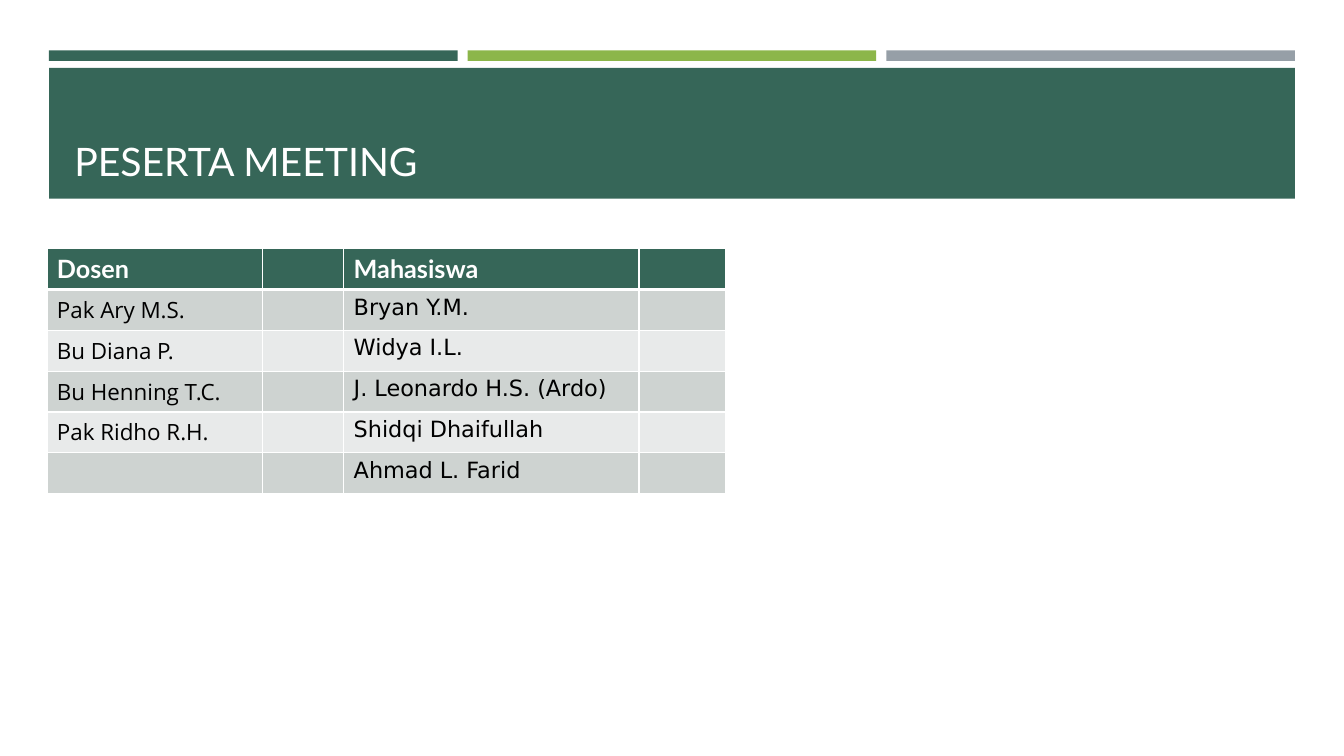
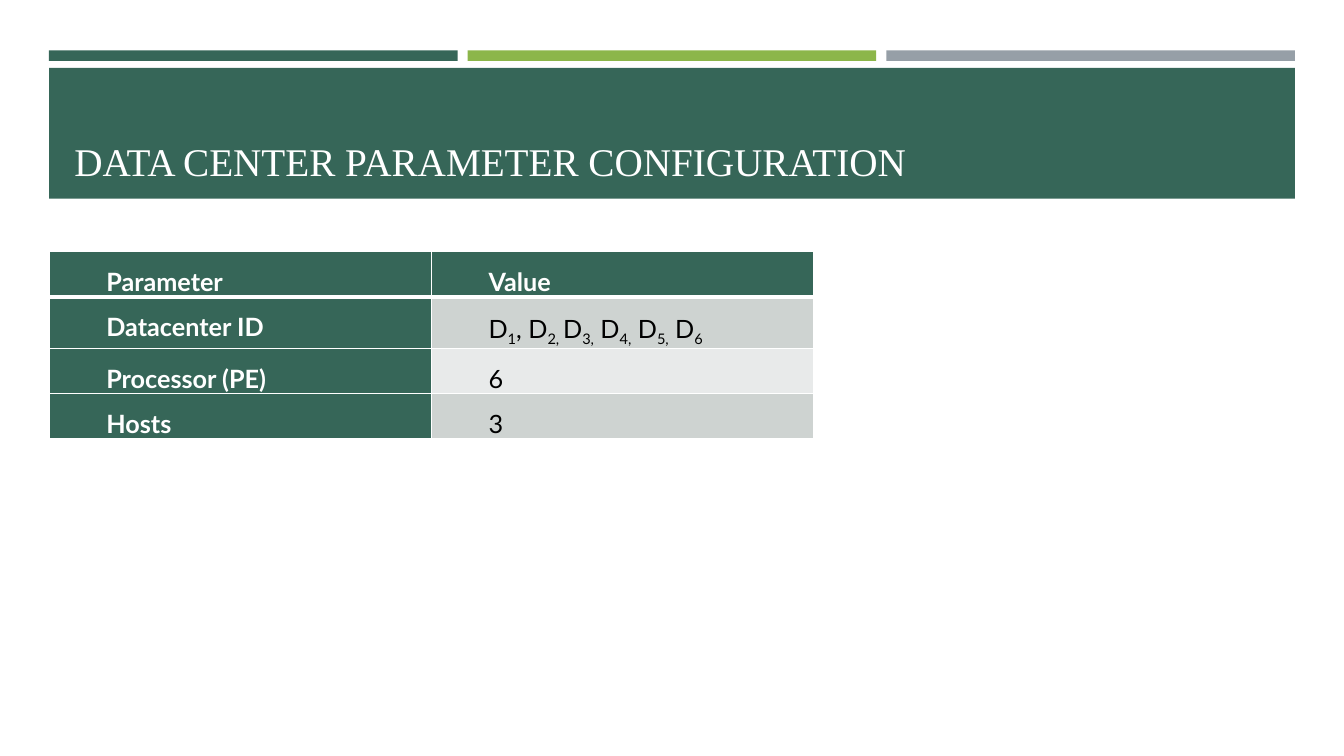
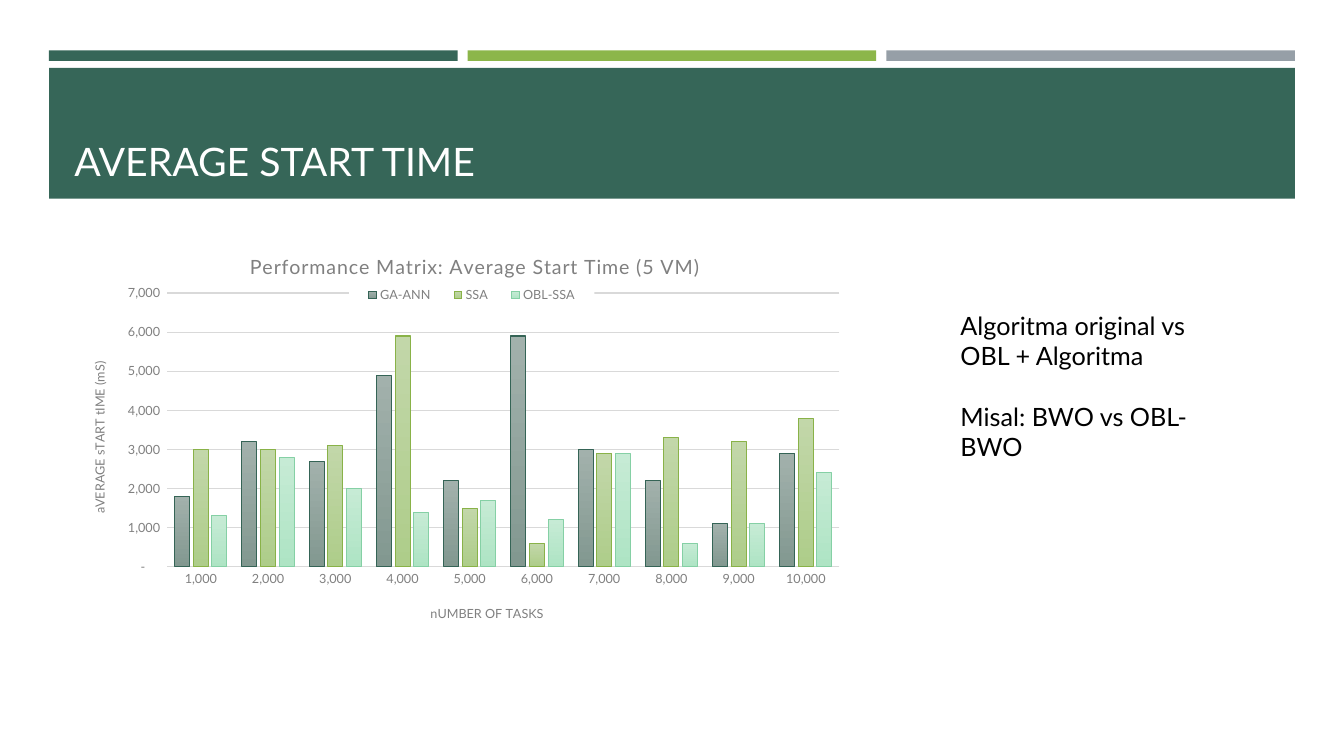
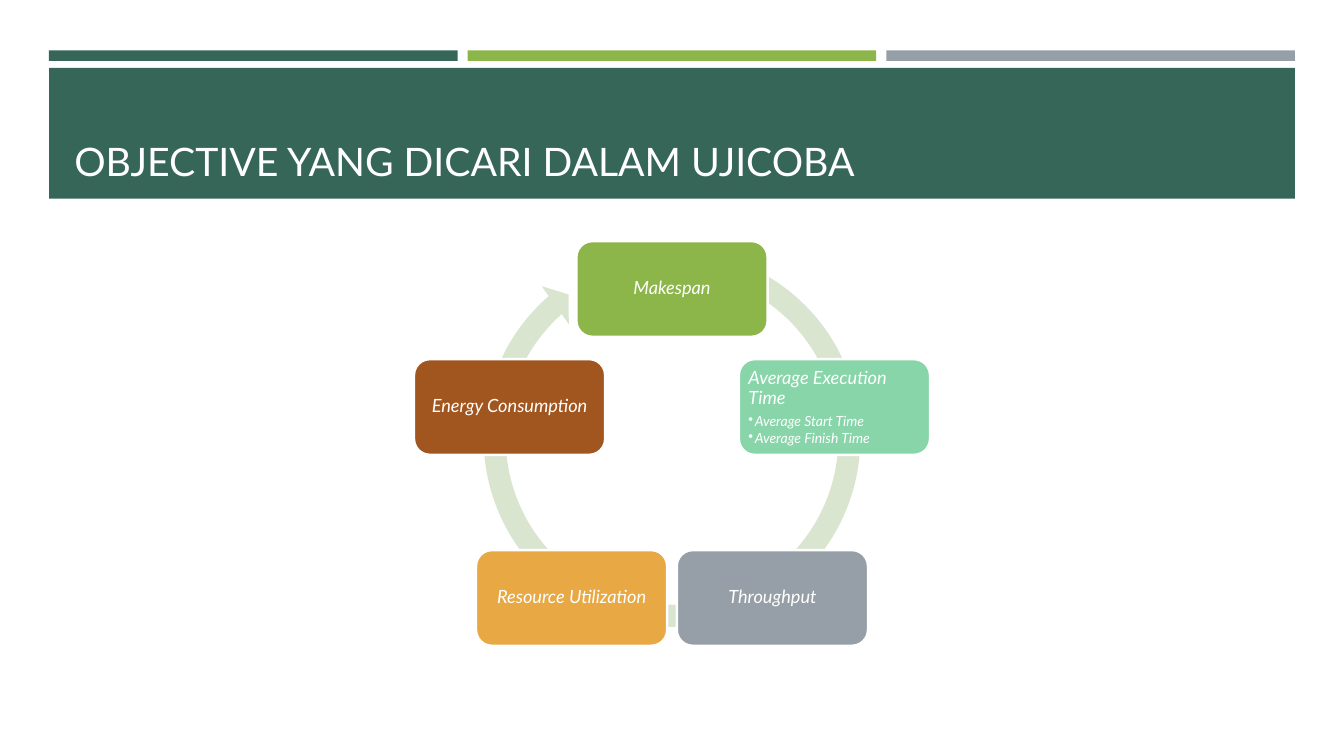
from itertools import product
from math import cos, radians, sin

from lxml.etree import SubElement
from pptx import Presentation
from pptx.chart.data import CategoryChartData
from pptx.dml.color import RGBColor
from pptx.enum.chart import XL_CHART_TYPE, XL_LEGEND_POSITION, XL_TICK_MARK
from pptx.enum.shapes import MSO_SHAPE
from pptx.enum.text import MSO_ANCHOR, PP_ALIGN
from pptx.oxml import parse_xml
from pptx.oxml.ns import nsdecls, qn
from pptx.util import Pt

GREEN, LIME, GRAY = "366658", "8CB64A", "969FA7"
MINT, GOLD, RUST, RING = "88D5A9", "E8A844", "A1561F", "DAE5D0"
WHITE, BLACK, DIM, GRID = "FFFFFF", "000000", "808080", "D9D9D9"
BANDS = ("E8EAEA", "CED3D1")
FONT = "Lato"
LEFT, WIDE = 35, 890


def color(text):
    """Turn a hex string into a colour."""
    return RGBColor.from_string(text)


def style(font, size, hue, face=FONT, bold=False, slant=False):
    """Set the look of a font."""
    font.size, font.name = Pt(size), face
    font.bold, font.italic = bold, slant
    font.color.rgb = color(hue)


def write(para, text, size, hue, **look):
    """Add one styled run to a paragraph."""
    run = para.add_run()
    run.text = text
    style(run.font, size, hue, **look)
    return run


def block(slide, kind, box, hue):
    """Draw a plain filled shape."""
    shape = slide.shapes.add_shape(kind, *map(Pt, box))
    shape.shadow.inherit = False
    shape.fill.solid()
    shape.fill.fore_color.rgb = color(hue)
    shape.line.fill.background()
    return shape


def label(slide, box):
    """Add a wrapping text box and return its frame."""
    frame = slide.shapes.add_textbox(*map(Pt, box)).text_frame
    frame.word_wrap = True
    return frame


def start(deck, title, face=FONT):
    """Add a slide with the three bars and the title band."""
    slide = deck.slides.add_slide(deck.slide_layouts[6])
    gap = 7.2
    bar = (WIDE - 2 * gap) / 3
    for i, hue in enumerate((GREEN, LIME, GRAY)):
        box = (LEFT + i * (bar + gap), 36, bar, 7.5)
        block(slide, MSO_SHAPE.RECTANGLE, box, hue)
    block(slide, MSO_SHAPE.RECTANGLE, (LEFT, 48.5, WIDE, 93.5), GREEN)
    frame = label(slide, (LEFT + 11, 55.5, WIDE - 22, 80))
    frame.vertical_anchor = MSO_ANCHOR.BOTTOM
    write(frame.paragraphs[0], title, 28, WHITE, face=face)
    return slide


def edge(cell, row):
    """Draw white cell borders, thick below the header row."""
    props = cell._tc.get_or_add_tcPr()
    thick = {0: "B", 1: "T"}.get(row)
    for side in "LRTB":
        width = Pt(3 if side == thick else 1)
        line = SubElement(props, qn(f"a:ln{side}"), w=str(width))
        fill = SubElement(line, qn("a:solidFill"))
        SubElement(fill, qn("a:srgbClr"), val=WHITE)


def grid(slide, spot, cols, count, height, side=False):
    """Add a banded table with a dark header row and maybe a dark first column."""
    size = (sum(cols), count * height)
    frame = slide.shapes.add_table(count, len(cols), *map(Pt, spot + size))
    table = frame.table
    table.first_row = table.horz_banding = False
    for col, width in zip(table.columns, cols):
        col.width = Pt(width)
    for row in table.rows:
        row.height = Pt(height)
    for r, c in product(range(count), range(len(cols))):
        cell = table.cell(r, c)
        edge(cell, r)
        dark = r == 0 or (side and c == 0)
        cell.fill.solid()
        cell.fill.fore_color.rgb = color(GREEN if dark else BANDS[r % 2])
    return table


def people(slide, spot):
    """Place the table of lecturers and students."""
    lists = {
        0: ("Open Sans", ["Dosen", "Pak Ary M.S.", "Bu Diana P.",
                          "Bu Henning T.C.", "Pak Ridho R.H."]),
        2: ("DejaVu Sans", ["Mahasiswa", "Bryan Y.M.", "Widya I.L.",
                            "J. Leonardo H.S. (Ardo)",
                            "Shidqi Dhaifullah", "Ahmad L. Farid"]),
    }
    table = grid(slide, spot, (154, 58, 211, 62), 6, 29.2)
    for col, (face, names) in lists.items():
        for row, name in enumerate(names):
            para = table.cell(row, col).text_frame.paragraphs[0]
            if row:
                write(para, name, 16, BLACK, face=face)
            else:
                write(para, name, 18, WHITE, bold=True)


def setup(slide, spot):
    """Place the data center table; odd parts of a cell are subscripts."""
    rows = [
        (["Parameter"], ["Value"]),
        (["Datacenter ID"], ["D", "1", ", D", "2, ", "D", "3,", " D", "4,",
                             " D", "5,", " D", "6"]),
        (["Processor (PE)"], ["6"]),
        (["Hosts"], ["3"]),
    ]
    table = grid(slide, spot, (273, 273), len(rows), 26, side=True)
    for r, c in product(range(len(rows)), range(2)):
        cell = table.cell(r, c)
        cell.margin_left = cell.margin_right = Pt(5)
        cell.margin_top = cell.margin_bottom = 0
        para = cell.text_frame.paragraphs[0]
        para.alignment = PP_ALIGN.JUSTIFY
        para.line_spacing = 1.5
        para.space_before = para.space_after = Pt(6)
        para._p.get_or_add_pPr().set("indent", str(Pt(35.5)))
        dark = r == 0 or c == 0
        for i, part in enumerate(rows[r][c]):
            run = write(para, part, 18, WHITE if dark else BLACK, bold=dark)
            if i % 2:
                run.font._rPr.set("baseline", "-25000")


def place(node, index, inner=False, **sizes):
    """Fix a chart part at fractions of the chart area."""
    for old in node.findall(qn("c:layout")):
        node.remove(old)
    layout = parse_xml(f"<c:layout {nsdecls('c')}><c:manualLayout/></c:layout>")
    if inner:
        SubElement(layout[0], qn("c:layoutTarget"), val="inner")
    for key in "xy":
        SubElement(layout[0], qn(f"c:{key}Mode"), val="edge")
    for key, value in sizes.items():
        SubElement(layout[0], qn(f"c:{key}"), val=str(value))
    node.insert(index, layout)


def name(title, text, size, x, y):
    """Write and place a chart or axis title."""
    run = write(title.text_frame.paragraphs[0], text, size, DIM)
    place(title._element, 1, x=x, y=y)
    return run


def times(slide, box):
    """Place the column chart of start times."""
    data = CategoryChartData()
    data.categories = range(1000, 10001, 1000)
    data.categories.number_format = "#,##0"
    series = [
        ("GA-ANN", (1800, 3200, 2700, 4900, 2200, 5900, 3000, 2200, 1100, 2900),
         "A2B1AC", "829890", "356456"),
        ("SSA", (3000, 3000, 3100, 5900, 1500, 600, 2900, 3300, 3200, 3800),
         "C2D7A9", "AECD8A", "89B248"),
        ("OBL-SSA", (1300, 2800, 2000, 1400, 1700, 1200, 2900, 600, 1100, 2400),
         "C6EBD5", "AEE4C4", "85D0A5"),
    ]
    for title, values, *_ in series:
        data.add_series(title, values)
    kind = XL_CHART_TYPE.COLUMN_CLUSTERED
    chart = slide.shapes.add_chart(kind, *map(Pt, box), data).chart
    style(chart.font, 10, BLACK)
    plot = chart.plots[0]
    plot.gap_width, plot.overlap, plot.vary_by_categories = 100, -24, False
    for bar, (_, _, top, base, rim) in zip(plot.series, series):
        bar.format.fill.gradient()
        bar.format.fill.gradient_angle = 270
        for stop, hue in zip(bar.format.fill.gradient_stops, (top, base)):
            stop.color.rgb = color(hue)
        bar.format.line.color.rgb = color(rim)
        bar.format.line.width = Pt(0.75)
    tasks, scale = chart.category_axis, chart.value_axis
    forms = ("#,##0", '_(* #,##0_);_(* \\(#,##0\\);_(* "-"??_);_(@_)')
    for axis, form in zip((tasks, scale), forms):
        axis.major_tick_mark = axis.minor_tick_mark = XL_TICK_MARK.NONE
        axis.tick_labels.number_format = form
        axis.tick_labels.number_format_is_linked = False
        style(axis.tick_labels.font, 9, DIM)
    scale.minimum_scale, scale.maximum_scale, scale.major_unit = 0, 7000, 1000
    scale.format.line.fill.background()
    for line in (tasks.format.line, scale.major_gridlines.format.line):
        line.color.rgb = color(GRID)
        line.width = Pt(0.75)
    head = name(chart.chart_title,
                "Performance Matrix: Average Start Time (5 VM)", 14, 0.23, 0.05)
    head.font._rPr.set("spc", "50")
    name(tasks.axis_title, "nUMBER OF TASKS", 9, 0.46, 0.85)
    name(scale.axis_title, "aVERAGE sTART tIME (mS)", 9, 0.03, 0.3)
    scale.axis_title.text_frame._txBody.bodyPr.set("rot", "-5400000")
    place(chart._chartSpace.chart.plotArea, 0, True, x=0.13, y=0.15, w=0.85, h=0.62)
    chart.has_legend = True
    legend = chart.legend
    legend.position = XL_LEGEND_POSITION.BOTTOM
    legend.include_in_layout = False
    style(legend.font, 9, DIM)
    place(legend._element, 1, x=0.36, y=0.13, w=0.31, h=0.05)
    back = parse_xml(f"<c:spPr {nsdecls('c', 'a')}><a:solidFill>"
                     f'<a:srgbClr val="{WHITE}"/></a:solidFill></c:spPr>')
    legend._element.find(qn("c:txPr")).addprevious(back)


def remark(slide, box):
    """Place the note beside the chart."""
    frame = label(slide, box)
    lines = ("Algoritma original vs ", "OBL + Algoritma", "Misal: BWO vs OBL-BWO")
    for i, line in enumerate(lines):
        para = frame.add_paragraph() if i else frame.paragraphs[0]
        write(para, line, 18, BLACK)
    para.space_before = Pt(21.6)


def card(slide, box, hue, title, points):
    """Place one step of the cycle with its optional points."""
    shape = block(slide, MSO_SHAPE.ROUNDED_RECTANGLE, box, hue)
    shape.line.color.rgb = color(WHITE)
    shape.line.width = Pt(1.75)
    frame = shape.text_frame
    frame.word_wrap = True
    frame.margin_left = frame.margin_right = Pt(3.6)
    frame.margin_top = frame.margin_bottom = Pt(3.6)
    frame.vertical_anchor = MSO_ANCHOR.TOP if points else MSO_ANCHOR.MIDDLE
    for i, text in enumerate((title, *points)):
        para = frame.add_paragraph() if i else frame.paragraphs[0]
        para.alignment = PP_ALIGN.LEFT if points else PP_ALIGN.CENTER
        para.line_spacing = 0.9
        para.space_after = Pt(1.5 if i else 4.5)
        write(para, text, 10 if i else 13, WHITE, slant=True)
        if i:
            props = para._p.get_or_add_pPr()
            props.set("marL", str(Pt(4.5)))
            props.set("indent", str(-Pt(4.5)))
            SubElement(props, qn("a:buChar"), char="•")


def cycle(slide, box):
    """Place the ring arrow and its five steps, spaced evenly on a circle."""
    x, y, side, _ = box
    ring = block(slide, MSO_SHAPE.CIRCULAR_ARROW, box, RING)
    for i, value in enumerate((0.055, 3.307, 137.283, 174.15, 0.058)):
        ring.adjustments[i] = value
    steps = [
        ("Makespan", LIME, ()),
        ("Average Execution Time", MINT,
         ("Average Start Time", "Average Finish Time")),
        ("Throughput", GRAY, ()),
        ("Resource Utilization", GOLD, ()),
        ("Energy Consumption", RUST, ()),
    ]
    wide, high, reach = 136.6, 68.4, 122
    mid, level = x + side / 2, y + 158.4
    for i, (title, hue, points) in enumerate(steps):
        turn = radians(360 / len(steps) * i)
        left = mid + reach * sin(turn) - wide / 2
        top = level - reach * cos(turn) - high / 2
        card(slide, (left, top, wide, high), hue, title, points)


def main():
    """Build and save the deck."""
    deck = Presentation()
    deck.slide_width, deck.slide_height = Pt(960), Pt(540)
    people(start(deck, "PESERTA MEETING"), (33.5, 177.5))
    setup(start(deck, "DATA CENTER PARAMETER CONFIGURATION", "Times New Roman"),
          (35.5, 179.5))
    slide = start(deck, "AVERAGE START TIME")
    times(slide, (46, 162, 565, 315.5))
    remark(slide, (679, 218, 211, 94.5))
    cycle(start(deck, "OBJECTIVE YANG DICARI DALAM UJICOBA"),
          (336.75, 170, 286.5, 286.5))
    deck.save("out.pptx")


main()
